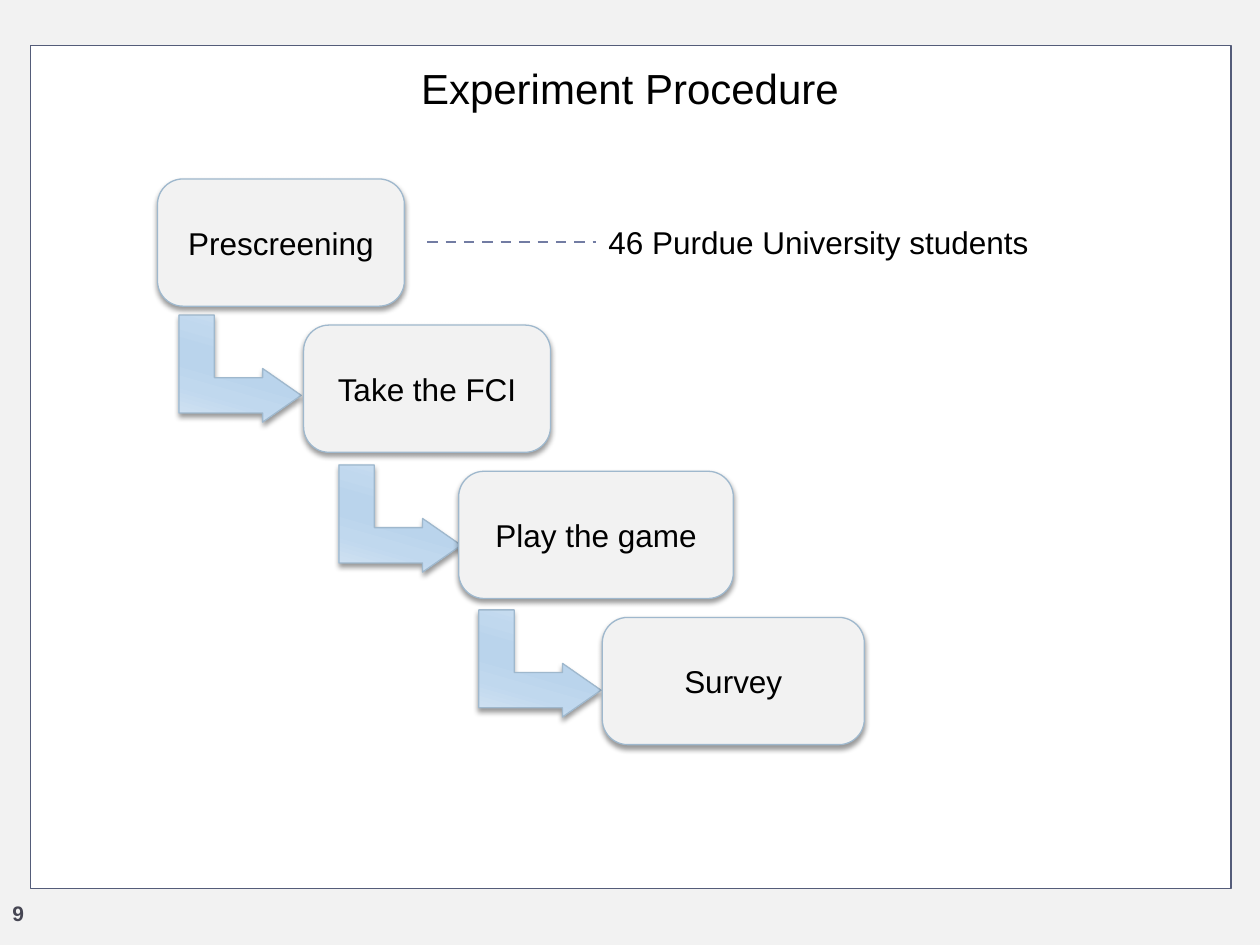
from pptx import Presentation
from pptx.dml.color import RGBColor
from pptx.enum.dml import MSO_LINE
from pptx.enum.shapes import MSO_CONNECTOR, MSO_SHAPE
from pptx.enum.text import MSO_ANCHOR, PP_ALIGN
from pptx.oxml.ns import qn
from pptx.oxml.xmlchemy import OxmlElement
from pptx.util import Inches, Pt

RECT, ROUNDED = MSO_SHAPE.RECTANGLE, MSO_SHAPE.ROUNDED_RECTANGLE
BENT_ARROW = MSO_SHAPE.BENT_UP_ARROW
CENTER, LEFT = PP_ALIGN.CENTER, PP_ALIGN.LEFT
MIDDLE, TOP = MSO_ANCHOR.MIDDLE, MSO_ANCHOR.TOP

TITLE = "Experiment Procedure"
STEPS = [  # text, left, width
    ("Prescreening", 1.25, 1.96),
    ("Take the FCI", 2.41, 1.96),
    ("Play the game", 3.64, 2.18),
    ("Survey", 4.78, 2.08),
]
ARROWS = [(1.48, 2.44), (2.75, 3.63), (3.86, 4.78)]
PARTICIPANTS = "46 Purdue University students"
PAGE = "9"

STEP_TOP, STEP_PITCH, STEP_HEIGHT = 1.42, 1.16, 1.01
ARROW_SIZE = (0.85, 0.97)
ARROW_ADJUSTMENTS = (0.33, 0.25, 0.36)
ARROW_STOPS = [(0, "D3E3F2"), (30, "C0D8EE"), (45, "BAD4EC"),
               (55, "BAD4EC"), (73, "C0D8EE"), (100, "D3E3F2")]
EDGE = "9FB8CD"


def rgb(value):
    return RGBColor.from_string(value)


def add_child(parent, tag, **attributes):
    child = OxmlElement(tag)
    for name, value in attributes.items():
        child.set(name, str(value))
    parent.append(child)
    return child


def write(sp, text, size, color="000000", align=LEFT, anchor=TOP, bold=False):
    tf = sp.text_frame
    tf.word_wrap = True
    tf.vertical_anchor = anchor
    p = tf.paragraphs[0]
    p.text = text
    p.alignment = align
    p.font.name, p.font.size, p.font.bold = "Arial", Pt(size), bold
    p.font.color.rgb = rgb(color)


def add_box(slide, kind, box, line, fill=None):
    sp = slide.shapes.add_shape(kind, *map(Inches, box))
    sp.shadow.inherit = False
    if fill:
        sp.fill.solid()
        sp.fill.fore_color.rgb = rgb(fill)
    sp.line.color.rgb = rgb(line)
    sp.line.width = Pt(0.75)
    return sp


def add_text(slide, box, text, size, **style):
    sp = slide.shapes.add_textbox(*map(Inches, box))
    write(sp, text, size, **style)
    return sp


def drop_shadow(sp):
    effects = sp._element.spPr.find(qn("a:effectLst"))
    shadow = add_child(effects, "a:outerShdw", blurRad=Pt(3), dist=Pt(2),
                       dir=90 * 60000, rotWithShape=0)
    add_child(add_child(shadow, "a:srgbClr", val="000000"), "a:alpha", val=40000)


def fill_gradient(sp, stops):
    sp.fill.gradient()
    sp.fill.gradient_angle = 344
    stop_list = sp._element.spPr.find(".//" + qn("a:gsLst"))
    for old in list(stop_list):
        stop_list.remove(old)
    for percent, color in stops:
        stop = add_child(stop_list, "a:gs", pos=percent * 1000)
        add_child(stop, "a:srgbClr", val=color)


def add_arrow(slide, left, top):
    arrow = add_box(slide, BENT_ARROW, (left, top, *ARROW_SIZE), EDGE)
    arrow.rotation = 90
    for i, value in enumerate(ARROW_ADJUSTMENTS):
        arrow.adjustments[i] = value
    fill_gradient(arrow, ARROW_STOPS)
    drop_shadow(arrow)


def add_step(slide, index, text, left, width):
    top = STEP_TOP + index * STEP_PITCH
    step = add_box(slide, ROUNDED, (left, top, width, STEP_HEIGHT), EDGE, "F2F2F2")
    step.adjustments[0] = 0.2
    drop_shadow(step)
    write(step, text, 18, align=CENTER, anchor=MIDDLE)


def main():
    prs = Presentation()
    prs.slide_width, prs.slide_height = Inches(10), Inches(7.5)
    slide = prs.slides.add_slide(prs.slide_layouts[5])
    slide.background.fill.solid()
    slide.background.fill.fore_color.rgb = rgb("F2F2F2")

    frame = add_box(slide, RECT, (0.24, 0.36, 9.53, 6.69), "545C79", "FFFFFF")
    title = slide.shapes.title
    frame._element.addnext(title._element)  # title in front of the frame
    title.left, title.top, title.width, title.height = map(
        Inches, (0.69, 0.4, 8.62, 0.59))
    write(title, TITLE, 24, align=CENTER, anchor=MIDDLE)

    for left, top in ARROWS:
        add_arrow(slide, left, top)
    for i, step in enumerate(STEPS):
        add_step(slide, i, *step)

    label = add_text(slide, (4.73, 1.72, 5.18, 0.4), PARTICIPANTS, 18)
    link = slide.shapes.add_connector(
        MSO_CONNECTOR.STRAIGHT, *map(Inches, (3.39, 1.92, 4.73, 1.92)))
    link.end_connect(label, 1)
    link.line.color.rgb = rgb("727CA3")
    link.line.width = Pt(1.5)
    link.line.dash_style = MSO_LINE.DASH
    add_child(link._element.spPr, "a:effectLst")

    add_text(slide, (0, 7.1, 2.17, 0.4), PAGE, 12, color="464653", bold=True)
    prs.save("out.pptx")


if __name__ == "__main__":
    main()
